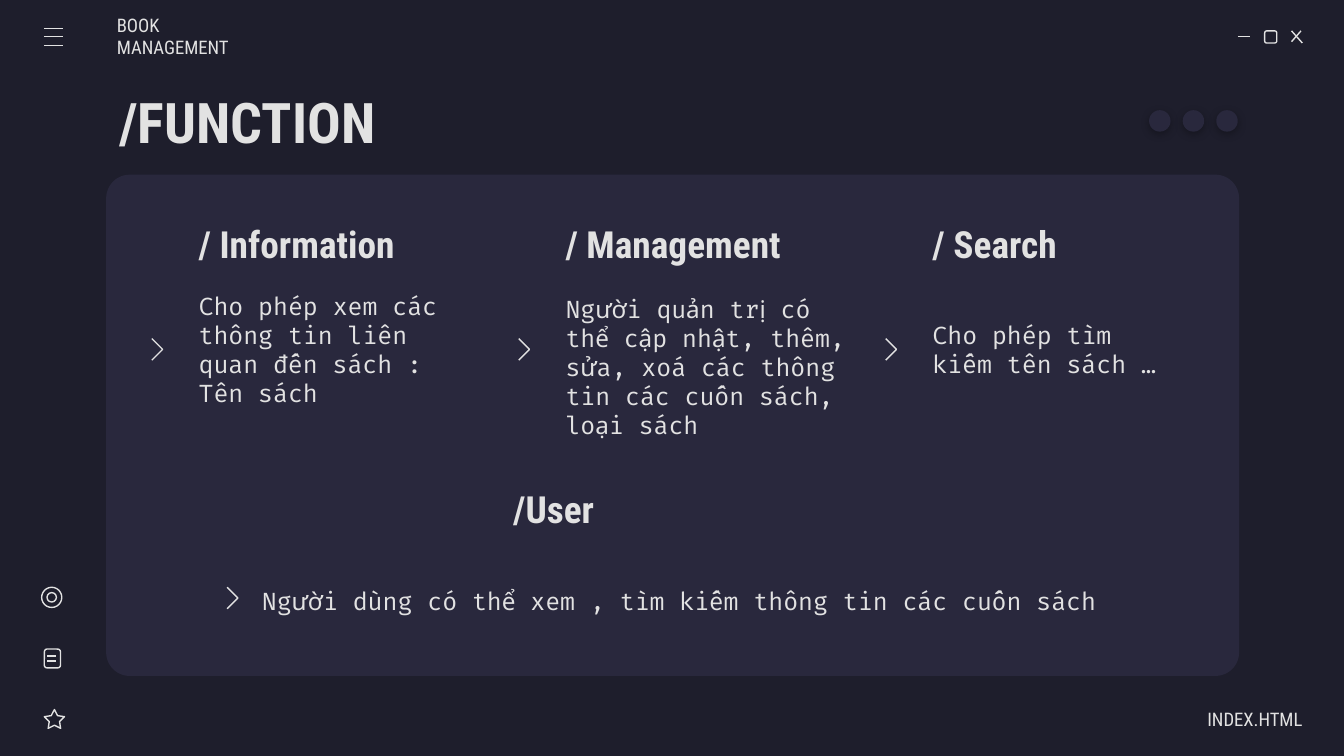
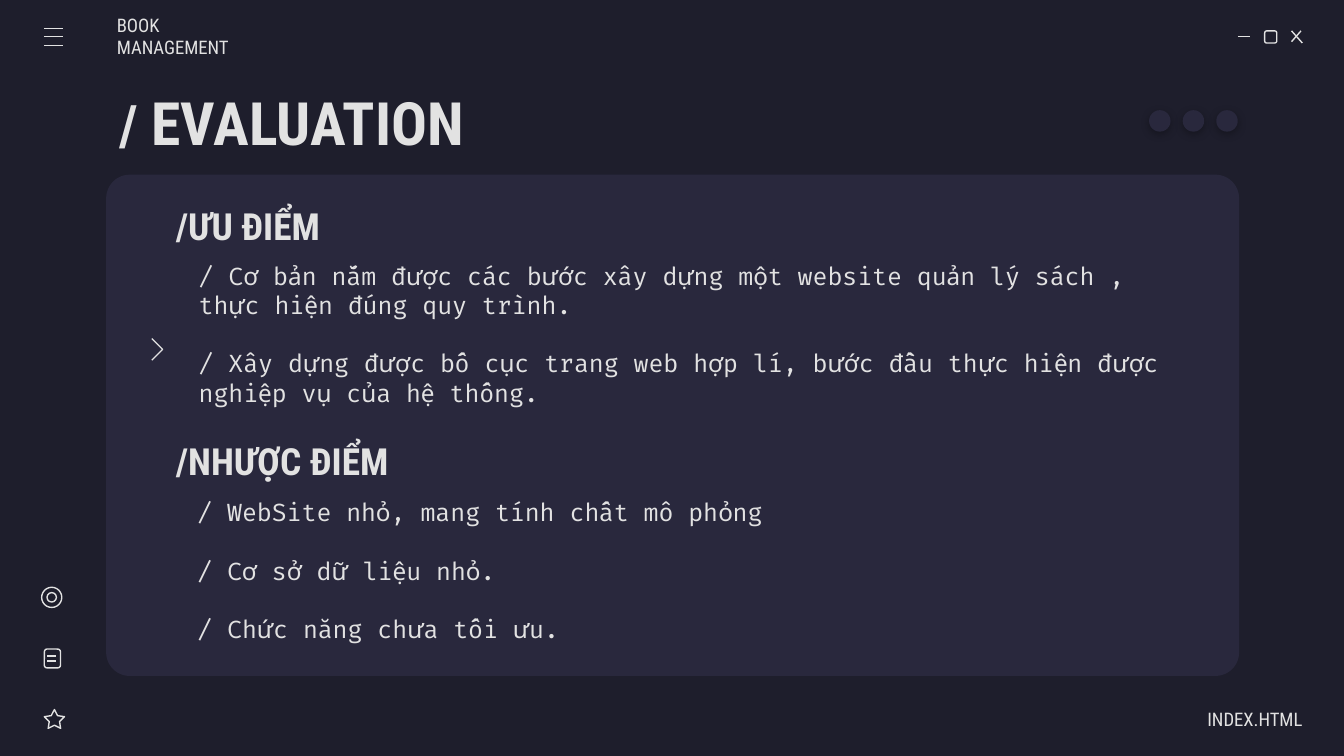
from lxml import etree
from pptx import Presentation
from pptx.dml.color import RGBColor
from pptx.enum.shapes import MSO_CONNECTOR, MSO_SHAPE
from pptx.enum.text import MSO_ANCHOR, PP_ALIGN
from pptx.oxml.ns import qn
from pptx.util import Inches, Pt

STRAIGHT = MSO_CONNECTOR.STRAIGHT
ROUNDED, OVAL, STAR = MSO_SHAPE.ROUNDED_RECTANGLE, MSO_SHAPE.OVAL, MSO_SHAPE.STAR_5_POINT
MIDDLE, LEFT, RIGHT = MSO_ANCHOR.MIDDLE, PP_ALIGN.LEFT, PP_ALIGN.RIGHT

# Content: title spans are (text, style), headings and bodies are (text, place)
BRAND, FILE_LABEL = "BOOK MANAGEMENT", "INDEX.HTML"

FUNCTION = {
    "title": [("/FUNCTION", "title")],
    "headings": [
        ("/ Information", (1.38, 1.48, 2, 0.67)),
        ("/ Management", (4.11, 1.48, 2, 0.67)),
        ("/ Search", (6.84, 1.48, 2, 0.67)),
        ("/User", (3.72, 3.45, 2, 0.67)),
    ],
    "bodies": [
        (["Cho phép xem các thông tin liên quan đến sách : Tên sách"],
         (1.38, 2.21, 2, 0.78)),
        (["Người quản trị có thể cập nhật, thêm, sửa, xoá các thông tin các "
          "cuốn sách, loại sách"], (4.11, 2.34, 2.4, 0.78)),
        (["Cho phép tìm kiếm tên sách …"], (6.84, 2.21, 2, 0.78)),
        (["Người dùng có thể xem , tìm kiếm thông tin các cuốn sách"],
         (1.85, 4.08, 6.95, 0.78)),
    ],
    "chevrons": [(1.13, 2.52), (3.86, 2.52), (6.59, 2.52), (1.69, 4.37)],
}

EVALUATION = {
    "title": [("/", "title"), (" EVALUATION", "title_large")],
    "headings": [
        ("/ƯU ĐIỂM", (1.21, 1.42, 1.81, 0.51)),
        ("/NHƯỢC ĐIỂM", (1.21, 3.17, 1.81, 0.51)),
    ],
    "bodies": [
        (["/ Cơ bản nắm được các bước xây dựng một website quản lý sách , "
          "thực hiện đúng quy trình.",
          "/ Xây dựng được bố cục trang web hợp lí, bước đầu thực hiện được "
          "nghiệp vụ của hệ thống."], (1.38, 1.84, 7.43, 1.29)),
        (["/ WebSite nhỏ, mang tính chất mô phỏng",
          "/ Cơ sở dữ liệu nhỏ.",
          "/ Chức năng chưa tối ưu."], (1.37, 3.6, 7.43, 1.29)),
    ],
    "chevrons": [(1.13, 2.52)],
}

# Theme
CONDENSED, CODE = "Roboto Condensed", "Fira Code"
THEME = {
    "back": RGBColor.from_string("1E1E2C"),
    "panel": RGBColor.from_string("29283D"),
    "ink": RGBColor.from_string("E2E2E2"),
    "stroke": Pt(0.75),
    "body_gap": Pt(15.7),
    "styles": {
        "title": {"name": CONDENSED, "size": Pt(30), "bold": True},
        "title_large": {"name": CONDENSED, "size": Pt(32), "bold": True},
        "heading": {"name": CONDENSED, "size": Pt(20), "bold": True},
        "body": {"name": CODE, "size": Pt(13), "bold": False},
        "label": {"name": CONDENSED, "size": Pt(10), "bold": False},
    },
}

# Window frame: lines are (x1, y1, x2, y2), icons are (kind, place)
MENU_LINES = [(0.33, y, 0.47, y) for y in (0.21, 0.27, 0.34)]
WINDOW_LINES = [(9.21, 0.27, 9.3, 0.27), (9.61, 0.23, 9.69, 0.32), (9.68, 0.23, 9.61, 0.31)]
NOTE_LINES = [(0.35, y, 0.42, y) for y in (4.88, 4.92)]
ICONS = [
    (ROUNDED, (9.41, 0.23, 0.09, 0.09)),
    (STAR, (0.33, 5.28, 0.15, 0.14)),
    (ROUNDED, (0.33, 4.83, 0.12, 0.14)),
    (OVAL, (0.31, 4.37, 0.15, 0.15)),
    (OVAL, (0.35, 4.41, 0.07, 0.07)),
]
PANEL = (0.79, 1.3, 8.43, 3.73)
TITLE = (0.79, 0.59, 8.43, 0.63)
DOT_LEFT, DOT_TOP, DOT_SIZE, DOT_STEP, DOT_COUNT = 8.55, 0.82, 0.16, 0.25, 3
CHEVRON = 0.08


def inches(values):
    return [Inches(value) for value in values]


def outline(part):
    part.line.color.rgb = THEME["ink"]
    part.line.width = THEME["stroke"]


def add_filled(page, kind, place):
    shape = page.shapes.add_shape(kind, *inches(place))
    shape.shadow.inherit = False
    shape.fill.solid()
    shape.fill.fore_color.rgb = THEME["panel"]
    shape.line.fill.background()
    return shape


def add_icon(page, kind, place):
    shape = page.shapes.add_shape(kind, *inches(place))
    shape.shadow.inherit = False
    shape.fill.background()
    outline(shape)
    if kind == STAR:
        shape.adjustments[0] = 0.254


def add_line(page, ends):
    line = page.shapes.add_connector(STRAIGHT, *inches(ends))
    outline(line)
    etree.SubElement(line._element.spPr, qn("a:effectLst"))


def add_chevron(page, left, top):
    builder = page.shapes.build_freeform(Inches(left), Inches(top))
    builder.add_line_segments([
        inches((left + CHEVRON, top + CHEVRON)),
        inches((left, top + 2 * CHEVRON)),
    ], close=False)
    shape = builder.convert_to_shape()
    shape.shadow.inherit = False
    shape.fill.background()
    outline(shape)


def add_dot(page, left):
    dot = add_filled(page, OVAL, (left, DOT_TOP, DOT_SIZE, DOT_SIZE))
    effects = dot._element.spPr.find(qn("a:effectLst"))
    shadow = etree.SubElement(effects, qn("a:outerShdw"), blurRad=str(Pt(4.5)),
                              dist=str(Pt(1.5)), dir="5400000", algn="bl", rotWithShape="0")
    color = etree.SubElement(shadow, qn("a:srgbClr"), val="000000")
    etree.SubElement(color, qn("a:alpha"), val="30000")


def add_text(page, place, paragraphs, align=LEFT, margins=(0.1, 0.1)):
    """Each paragraph is a list of (text, style) spans."""
    frame = page.shapes.add_textbox(*inches(place)).text_frame
    layout = {
        "word_wrap": True, "vertical_anchor": MIDDLE,
        "margin_left": Inches(margins[0]), "margin_right": Inches(margins[1]),
        "margin_top": Inches(0.1), "margin_bottom": Inches(0.1),
    }
    for name, value in layout.items():
        setattr(frame, name, value)
    for index, spans in enumerate(paragraphs):
        para = frame.add_paragraph() if index else frame.paragraphs[0]
        para.alignment = align
        if index:
            para.space_before = THEME["body_gap"]
        for text, style in spans:
            span = para.add_run()
            span.text = text
            for name, value in THEME["styles"][style].items():
                setattr(span.font, name, value)
            span.font.color.rgb = THEME["ink"]


def add_frame(page):
    """Background, panel, window controls, side icons and labels."""
    page.background.fill.solid()
    page.background.fill.fore_color.rgb = THEME["back"]
    add_filled(page, ROUNDED, PANEL).adjustments[0] = 0.047
    for ends in MENU_LINES + WINDOW_LINES + NOTE_LINES:
        add_line(page, ends)
    for kind, place in ICONS:
        add_icon(page, kind, place)
    for index in range(DOT_COUNT):
        add_dot(page, DOT_LEFT + index * DOT_STEP)
    add_text(page, (0.87, 0.12, 1.17, 0.3), [[(BRAND, "label")]], margins=(0, 0.1))
    add_text(page, (8.52, 5.2, 1.17, 0.3), [[(FILE_LABEL, "label")]], RIGHT, (0.1, 0))


def add_page(deck, content):
    page = deck.slides.add_slide(deck.slide_layouts[6])
    add_frame(page)
    add_text(page, TITLE, [content["title"]])
    for text, place in content["headings"]:
        add_text(page, place, [[(text, "heading")]])
    for lines, place in content["bodies"]:
        add_text(page, place, [[(line, "body")] for line in lines])
    for left, top in content["chevrons"]:
        add_chevron(page, left, top)


def main():
    deck = Presentation()
    # Widescreen, 16 to 9
    deck.slide_width = Inches(10)
    deck.slide_height = Inches(10) * 9 // 16
    for content in (FUNCTION, EVALUATION):
        add_page(deck, content)
    deck.save("out.pptx")


if __name__ == "__main__":
    main()
